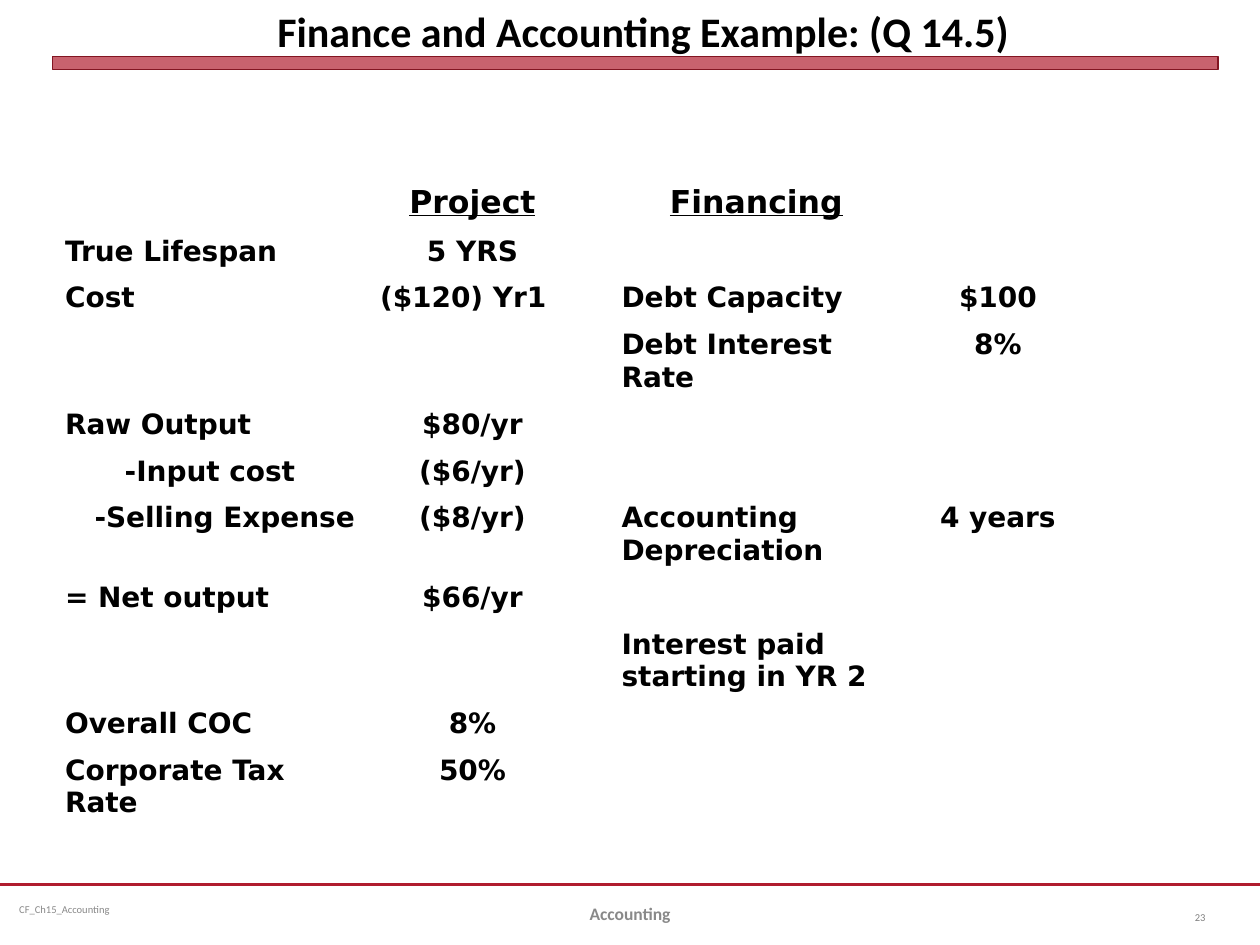
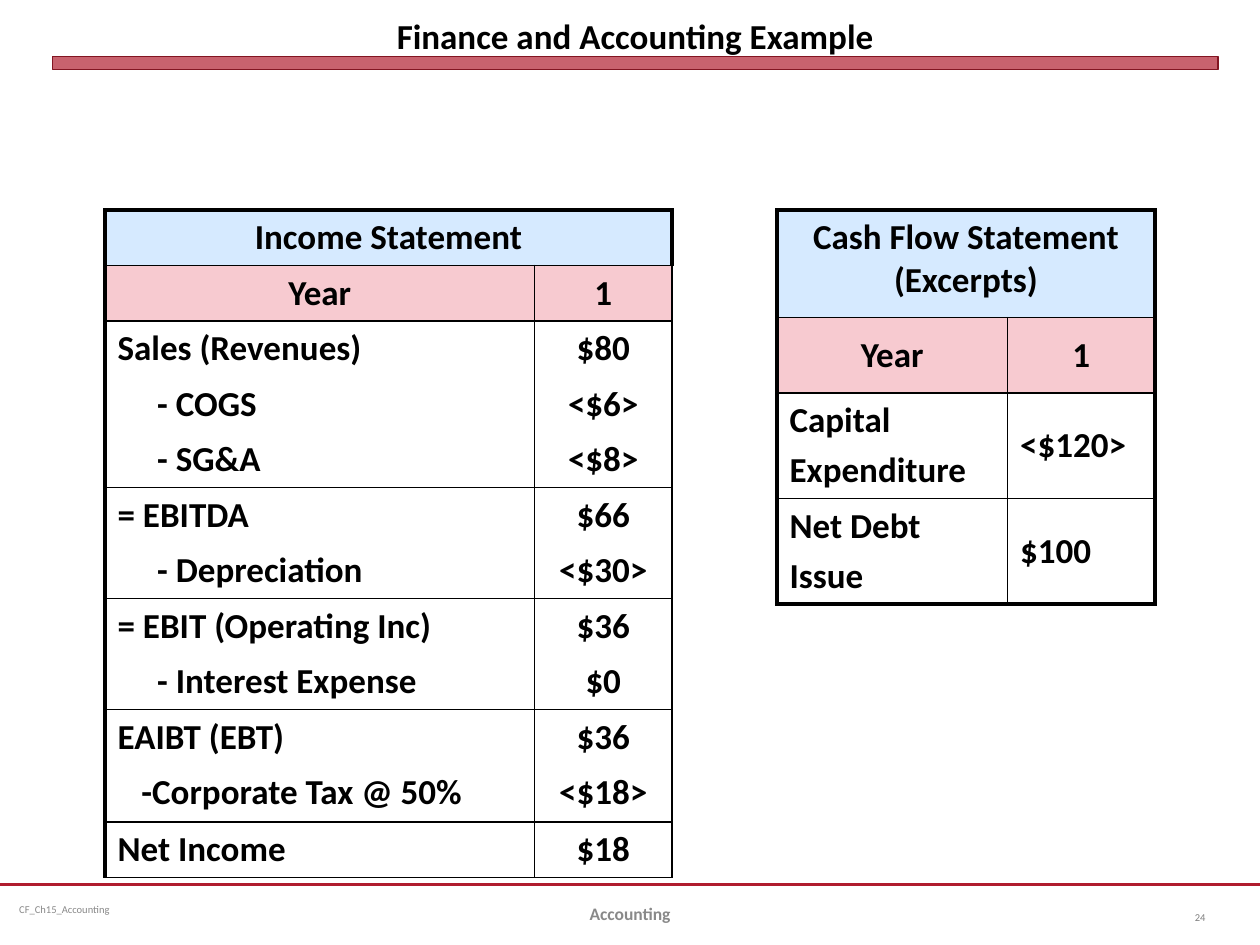
from dataclasses import dataclass
from typing import Any, NamedTuple

import pptx
import pptx.dml.color
import pptx.enum.shapes
import pptx.enum.text
import pptx.oxml.ns
import pptx.oxml.xmlchemy
import pptx.util
from lxml import etree

Pt = pptx.util.Pt
RGB = pptx.dml.color.RGBColor.from_string
qn = pptx.oxml.ns.qn
ALIGN = pptx.enum.text.PP_ALIGN
ANCHOR = pptx.enum.text.MSO_ANCHOR
NO_STYLE = "{2D5ABB26-0587-4C30-8999-92F81FD0307C}"


@dataclass(frozen=True)
class Theme:
    ink: str = "000000"
    red: str = "B01C2E"
    dark_red: str = "821522"
    grey: str = "898989"
    page_grey: str = "808080"
    blue_fill: str = "D6EAFF"
    pink_fill: str = "F7CAD0"
    main_font: str = "Calibri"
    data_font: str = "DejaVu Sans"
    small: float = 6
    footer: float = 10
    data: float = 16
    column_head: float = 18
    statement: float = 20
    big_title: float = 24
    bar_alpha: int = 69000


T = Theme()


class Box(NamedTuple):
    x: float
    y: float
    w: float
    h: float


class Style(NamedTuple):
    size: float
    font: str = T.main_font
    color: str = T.ink
    bold: bool = True
    underline: bool = False


class Label(NamedTuple):
    text: str
    box: Box
    style: Style
    align: Any = ALIGN.LEFT
    inset: tuple[float, float] = (7.2, 3.6)


class Cell(NamedTuple):
    text: str = ""
    align: Any = ALIGN.LEFT
    style: Style = Style(T.statement)
    fill: str = ""
    indent: float = 0
    anchor: Any = ANCHOR.TOP


class Edges(NamedTuple):
    left: float = 0
    right: float = 0
    top: float = 0
    bottom: float = 0


@dataclass(frozen=True)
class Grid:
    x: float
    y: float
    cols: tuple[float, ...]
    rows: tuple[float, ...]
    cells: list[list[Cell]]
    outer: Edges = Edges()
    inner: float = 0
    ruled_below: frozenset[int] = frozenset()
    banner: bool = False


class Title(NamedTuple):
    text: str
    box: Box
    size: float
    anchor: Any
    inset: tuple[float, float]


def assign(target: Any, values: dict[str, Any]) -> None:
    for name, value in values.items():
        setattr(target, name, value)


def write(p: Any, text: str, style: Style) -> None:
    r = p.add_run()
    r.text = text
    assign(r.font, {"name": style.font, "size": Pt(style.size),
                    "bold": style.bold, "underline": style.underline})
    r.font.color.rgb = RGB(style.color)


def frame_text(tf: Any, inset: tuple[float, float], anchor: Any) -> None:
    side, edge = map(Pt, inset)
    assign(tf, {"margin_left": side, "margin_right": side,
                "margin_top": edge, "margin_bottom": edge,
                "word_wrap": True, "vertical_anchor": anchor,
                "auto_size": pptx.enum.text.MSO_AUTO_SIZE.NONE})


def draw_label(s: Any, label: Label) -> None:
    tf = s.shapes.add_textbox(*map(Pt, label.box)).text_frame
    frame_text(tf, label.inset, ANCHOR.MIDDLE)
    p = tf.paragraphs[0]
    p.alignment = label.align
    write(p, label.text, label.style)


def draw_title(s: Any, title: Title) -> None:
    sp = s.shapes.title
    assign(sp, dict(zip(("left", "top", "width", "height"), map(Pt, title.box))))
    frame_text(sp.text_frame, title.inset, title.anchor)
    p = sp.text_frame.paragraphs[0]
    p.alignment = ALIGN.CENTER
    write(p, title.text, Style(title.size))
    s.shapes._spTree.append(sp._element)


def draw_frame(s: Any, page: str) -> None:
    line = s.shapes.add_connector(pptx.enum.shapes.MSO_CONNECTOR.STRAIGHT,
                                  Pt(0), Pt(505.5), Pt(720), Pt(505.5))
    line.line.color.rgb = RGB(T.red)
    line.line.width = Pt(1.25)
    etree.SubElement(line._element.spPr, qn("a:effectLst"))

    bar = s.shapes.add_shape(pptx.enum.shapes.MSO_SHAPE.RECTANGLE,
                             Pt(30), Pt(32.4), Pt(666), Pt(7.2))
    bar.shadow.inherit = False
    bar.fill.solid()
    bar.fill.fore_color.rgb = RGB(T.red)
    color = bar._element.spPr.find(qn("a:solidFill"))[0]
    etree.SubElement(color, qn("a:alpha"), val=str(T.bar_alpha))
    bar.line.color.rgb = RGB(T.dark_red)
    bar.line.width = Pt(0)

    for label in (
        Label("CF_Ch15_Accounting", Box(6, 505.5, 186, 28.8),
              Style(T.small, color=T.grey, bold=False), inset=(5, 2.9)),
        Label("Accounting", Box(246, 507.6, 228, 28.8),
              Style(T.footer, color=T.grey), ALIGN.CENTER),
        Label(page, Box(660, 509.8, 36, 28.8),
              Style(T.small, color=T.page_grey, bold=False), ALIGN.RIGHT),
    ):
        draw_label(s, label)


def draw_edges(cell: Any, edges: Edges) -> None:
    tc_pr = cell._tc.get_or_add_tcPr()
    for i, (side, width) in enumerate(zip("LRTB", edges)):
        ln = etree.Element(qn(f"a:ln{side}"), w=str(Pt(width)))
        if width:
            fill = etree.SubElement(ln, qn("a:solidFill"))
            etree.SubElement(fill, qn("a:srgbClr"), val=T.ink)
        else:
            etree.SubElement(ln, qn("a:noFill"))
        tc_pr.insert(i, ln)


def cell_edges(grid: Grid, r: int, c: int) -> Edges:
    last_row, last_col = len(grid.rows) - 1, len(grid.cols) - 1
    in_banner = grid.banner and r == 0
    inner = 0 if in_banner else grid.inner
    right = grid.outer.left if in_banner else grid.outer.right
    return Edges(
        grid.outer.left if c == 0 else inner,
        right if c == last_col or in_banner else inner,
        grid.outer.top if r == 0 else grid.inner * (r - 1 in grid.ruled_below),
        grid.outer.bottom if r == last_row else grid.inner * (r in grid.ruled_below),
    )


def fill_cell(cell: Any, data: Cell) -> None:
    cell.vertical_anchor = data.anchor
    if data.fill:
        cell.fill.solid()
        cell.fill.fore_color.rgb = RGB(data.fill)
    else:
        cell.fill.background()
    tf = cell.text_frame
    for i, text in enumerate(data.text.split("\n")):
        p = tf.add_paragraph() if i else tf.paragraphs[0]
        p.alignment = data.align
        if i:
            p.space_before = Pt(data.style.size * 0.2)
        if data.indent:
            p._p.get_or_add_pPr().set("marL", str(Pt(data.indent)))
        if text:
            write(p, text, data.style)
        else:
            etree.SubElement(p._p, qn("a:endParaRPr"), sz=str(int(data.style.size * 100)))


def draw_grid(s: Any, grid: Grid) -> None:
    frame = s.shapes.add_table(len(grid.rows), len(grid.cols), Pt(grid.x), Pt(grid.y),
                               Pt(sum(grid.cols)), Pt(sum(grid.rows)))
    table = frame.table
    assign(table, {"first_row": False, "horz_banding": False})
    table._tbl.tblPr.find(qn("a:tableStyleId")).text = NO_STYLE
    for column, width in zip(table.columns, grid.cols):
        column.width = Pt(width)
    for row, height in zip(table.rows, grid.rows):
        row.height = Pt(height)
    if grid.banner:
        table.cell(0, 0).merge(table.cell(0, len(grid.cols) - 1))
    for r, row_cells in enumerate(grid.cells):
        for c, data in enumerate(row_cells):
            fill_cell(table.cell(r, c), data)
            draw_edges(table.cell(r, c), cell_edges(grid, r, c))


def assumptions_grid() -> Grid:
    short, tall = 26.8, 45.4
    rows = (
        ("", "Project", "", "Financing", ""),
        ("True Lifespan", "5 YRS", "", "", ""),
        ("Cost", "($120) Yr1", "", "Debt Capacity", "$100"),
        ("", "", "", "Debt Interest Rate", "8%"),
        ("Raw Output", "$80/yr", "", "", ""),
        ("-Input cost", "($6/yr)", "", "", ""),
        ("-Selling Expense", "($8/yr)", "", "Accounting Depreciation", "4 years"),
        ("= Net output", "$66/yr", "", "", ""),
        ("", "", "", "Interest paid starting in YR 2", ""),
        ("Overall COC", "8%", "", "", ""),
        ("Corporate Tax Rate", "50%", "", "", ""),
        ("", "", "", "", ""),
    )
    body, head = Style(T.data, T.data_font), Style(T.column_head, T.data_font, underline=True)
    special = {"-Input cost": ALIGN.CENTER, "-Selling Expense": ALIGN.RIGHT,
               "($120) Yr1": ALIGN.LEFT}
    usual = (ALIGN.LEFT, ALIGN.CENTER, ALIGN.LEFT, ALIGN.LEFT, ALIGN.CENTER)
    cells = [[Cell(text, ALIGN.CENTER, head if text else body) for text in rows[0]]]
    cells += [[Cell(text, special.get(text, align), body) for text, align in zip(row, usual)]
              for row in rows[1:]]
    two_line_rows = (3, 6, 8, 10)
    heights = (28.8, *(tall if i in two_line_rows else short for i in range(1, len(rows))))
    return Grid(30, 102, (180, 120, 18, 168.5, 107.5), heights, cells)


def statement_head(name: str, anchor: Any) -> list[list[Cell]]:
    year = [Cell(text, ALIGN.CENTER, fill=T.pink_fill, anchor=anchor) for text in ("Year", "1")]
    return [[Cell(name, ALIGN.CENTER, fill=T.blue_fill)], year]


def income_grid() -> Grid:
    deep, shallow = 22.6, 13.6
    lines = (
        ("Sales (Revenues)", "$80", 0), ("- COGS", "<$6>", deep), ("- SG&A", "<$8>", deep),
        ("= EBITDA", "$66", 0), ("- Depreciation", "<$30>", deep),
        ("= EBIT (Operating Inc)", "$36", 0), ("- Interest Expense", "$0", deep),
        ("EAIBT (EBT)", "$36", 0), ("-Corporate Tax @ 50%", "<$18>", shallow),
        ("Net Income", "$18", 0),
    )
    cells = statement_head("Income Statement", ANCHOR.TOP)
    cells += [[Cell(name, indent=indent), Cell(value, ALIGN.CENTER)]
              for name, value, indent in lines]
    heights = tuple(32.4 if i == 10 else 31 for i in range(len(cells)))
    return Grid(60, 120, (245.5, 78.5), heights, cells, Edges(2.25, 1, 2.25, 1), 1,
                frozenset({0, 1, 4, 6, 8, 10}), banner=True)


def cash_flow_grid() -> Grid:
    lines = (("Capital\nExpenditure", "<$120>"), ("Net Debt\nIssue", "$100"))
    cells = statement_head("Cash Flow Statement (Excerpts)", ANCHOR.MIDDLE)
    cells += [[Cell(name), Cell(value, anchor=ANCHOR.MIDDLE)] for name, value in lines]
    return Grid(444, 120, (131.8, 84.2), (61.5, 43.2, 60, 60), cells,
                Edges(2.25, 2.25, 2.25, 2.25), 1, frozenset({0, 1, 2}), banner=True)


def main() -> None:
    prs = pptx.Presentation()
    assign(prs, {"slide_width": Pt(720), "slide_height": Pt(540)})
    pages = (
        ("23", Title("Finance and Accounting Example: (Q 14.5)", Box(31.7, -10.8, 671.8, 56.2),
                     T.big_title, ANCHOR.MIDDLE, (7.2, 3.6)), (assumptions_grid(),)),
        ("24", Title("Finance and Accounting Example", Box(30, 3.6, 666, 28.8),
                     T.statement, ANCHOR.BOTTOM, (0, 0)), (income_grid(), cash_flow_grid())),
    )
    for page, title, grids in pages:
        s = prs.slides.add_slide(prs.slide_layouts[5])
        draw_frame(s, page)
        draw_title(s, title)
        for grid in grids:
            draw_grid(s, grid)
    prs.save("out.pptx")


if __name__ == "__main__":
    main()
